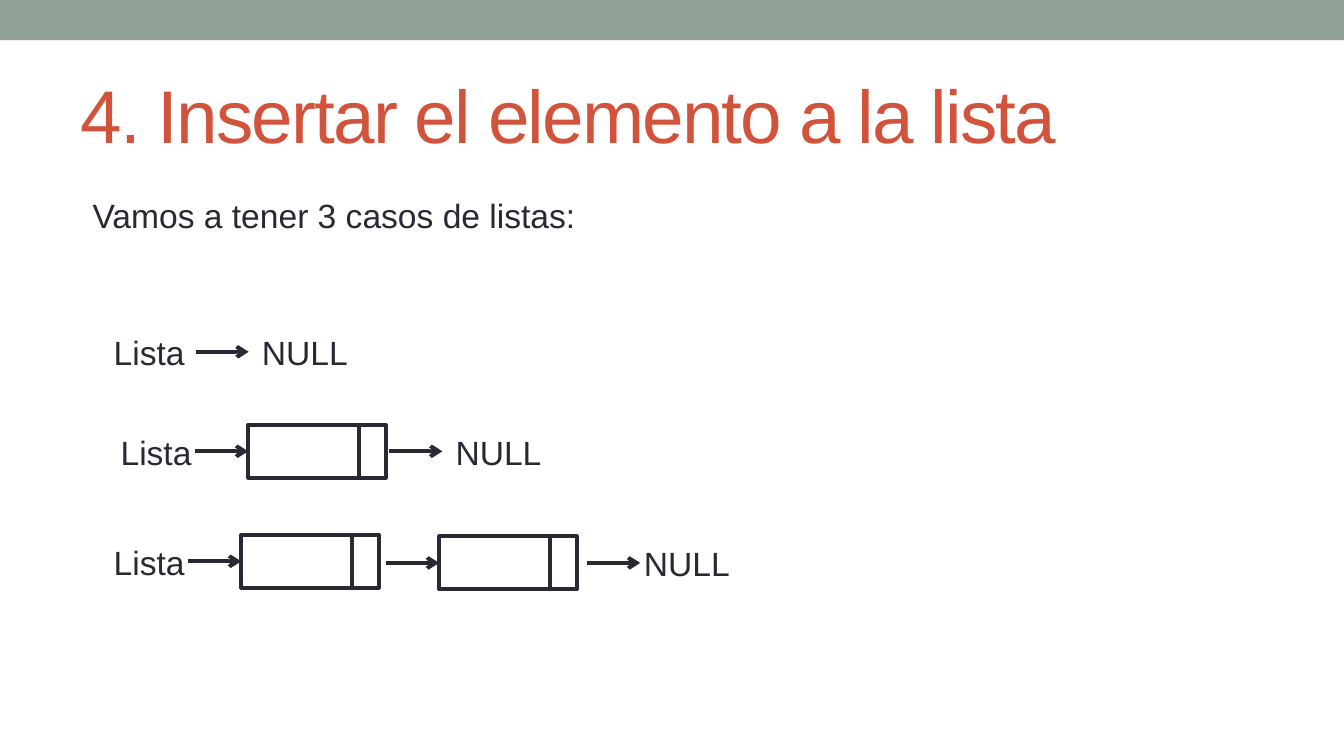
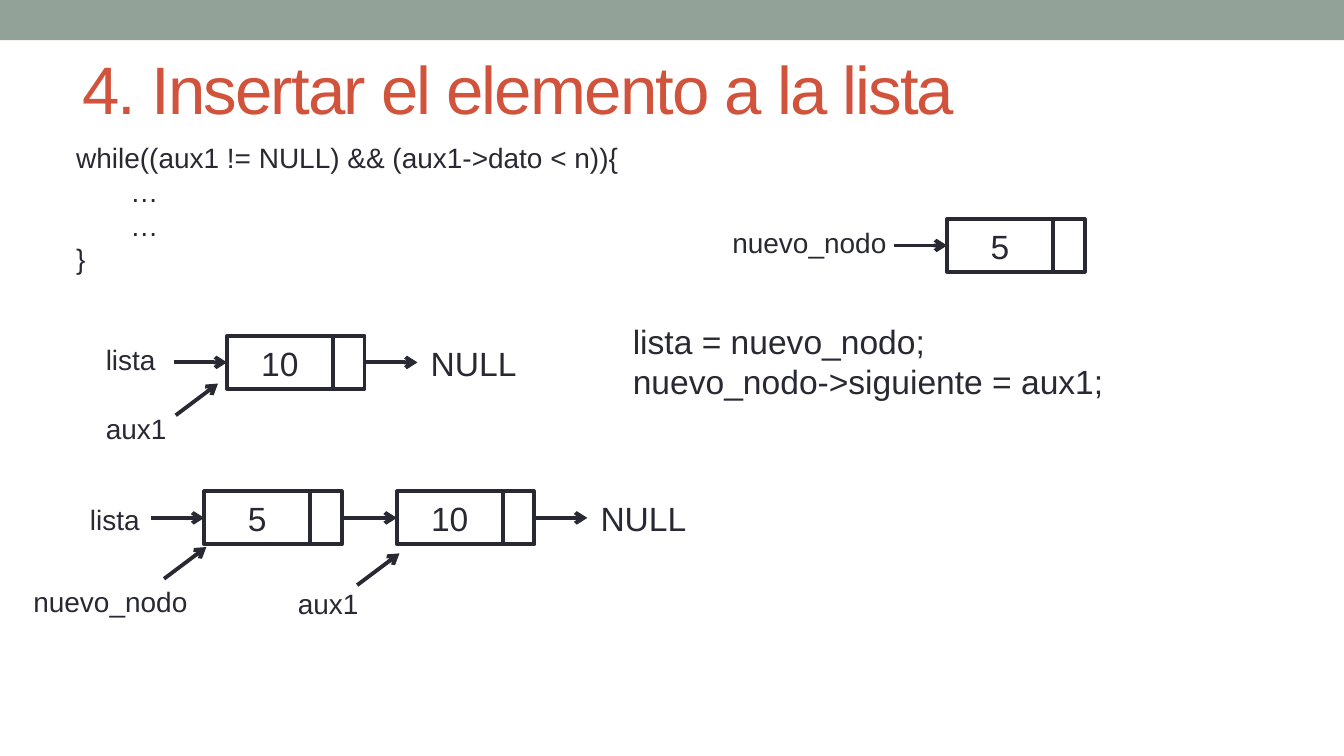
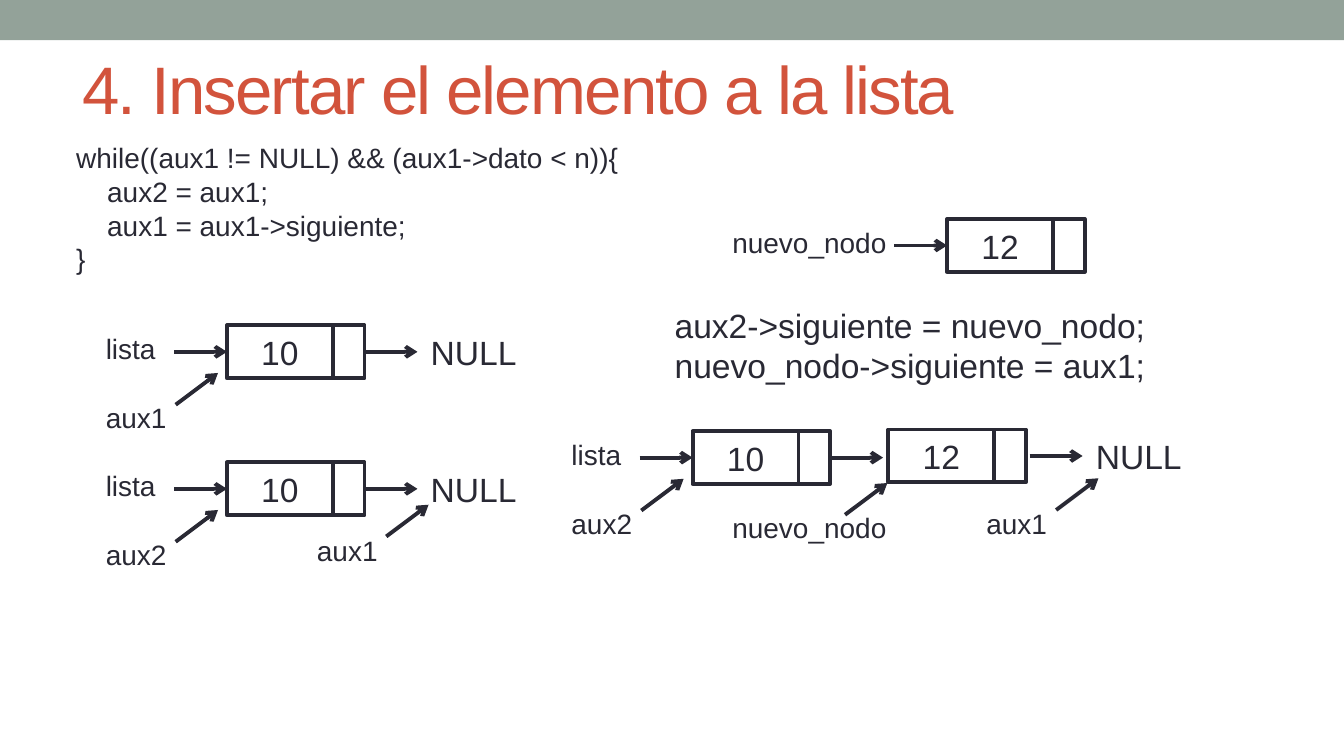
from lxml import etree
from pptx import Presentation
from pptx.dml.color import RGBColor
from pptx.enum.shapes import MSO_CONNECTOR, MSO_SHAPE
from pptx.enum.text import MSO_ANCHOR, MSO_AUTO_SIZE, PP_ALIGN
from pptx.oxml.ns import qn
from pptx.util import Cm, Pt

STRAIGHT = MSO_CONNECTOR.STRAIGHT
RECTANGLE = MSO_SHAPE.RECTANGLE
MIDDLE = MSO_ANCHOR.MIDDLE
NO_FIT = MSO_AUTO_SIZE.NONE
GROW = MSO_AUTO_SIZE.SHAPE_TO_FIT_TEXT
LEFT, CENTER = PP_ALIGN.LEFT, PP_ALIGN.CENTER
LEFT_SIDE, RIGHT_SIDE = 1, 3

COLORS = {"band": "93A299", "title": "D2533C", "ink": "292934", "paper": "FFFFFF"}
FONT = "Arial"
TITLE = "4. Insertar el elemento a la lista"
LINE_WIDTH = Pt(2.08)
SLIDE_WIDTH, SLIDE_HEIGHT = 25.4, 14.29
NODE_WIDTH, NODE_HEIGHT, VALUE_WIDTH = 2.6, 1.0, 2.0
ARROW_LENGTH = 1.0
TEXT_SIZE, SMALL_SIZE = 18, 15
WIDE_NAME = 3.8


def color(name):
    """Return the named colour."""
    return RGBColor.from_string(COLORS[name])


def format_runs(text_frame, size, color_name, alignment=LEFT):
    """Apply font and alignment to all the text of a frame."""
    values = {"name": FONT, "size": Pt(size), "bold": False}
    for paragraph in text_frame.paragraphs:
        paragraph.alignment = alignment
        for run in paragraph.runs:
            for attribute, value in values.items():
                setattr(run.font, attribute, value)
            run.font.color.rgb = color(color_name)


def add_band(presentation, slide):
    """Put the top band on the slide master, behind everything else."""
    band = slide.shapes.add_shape(RECTANGLE, 0, 0, Cm(SLIDE_WIDTH), Cm(0.76))
    band.shadow.inherit = False
    band.fill.solid()
    band.fill.fore_color.rgb = color("band")
    band.line.fill.background()
    presentation.slide_master.shapes.element.insert(2, band.element)


def add_titled_slide(presentation, left, top, height, size):
    """Add a slide with the shared title at the given place."""
    slide = presentation.slides.add_slide(presentation.slide_layouts[5])
    title = slide.shapes.title
    box = {"left": left, "top": top, "width": 22.86, "height": height}
    for attribute, value in box.items():
        setattr(title, attribute, Cm(value))
    frame = title.text_frame
    frame.text = TITLE
    frame.auto_size = NO_FIT
    frame.vertical_anchor = MIDDLE
    format_runs(frame, size, "title")
    for properties in title.element.iter(qn("a:rPr")):
        properties.set("spc", "-100")
    return slide


def add_text(slide, text, left, top, width=2.21, size=TEXT_SIZE, alignment=LEFT):
    """Add a text box that holds one paragraph per line of text."""
    height = 0.25 + len(text.split("\n")) * size * 0.0425
    box = slide.shapes.add_textbox(Cm(left), Cm(top), Cm(width), Cm(height))
    frame = box.text_frame
    frame.word_wrap = True
    frame.auto_size = GROW
    frame.text = text
    format_runs(frame, size, "ink", alignment)


def add_name(slide, text, left, top, width=1.85):
    """Add the small name of a variable."""
    add_text(slide, text, left, top, width, SMALL_SIZE)


def add_line(slide, start, end, arrow=True, source=None, target=None):
    """Add a line or arrow, joined to the sides of the given nodes."""
    line = slide.shapes.add_connector(STRAIGHT, *(Cm(value) for value in start + end))
    if source is not None:
        line.begin_connect(source, RIGHT_SIDE)
    if target is not None:
        line.end_connect(target, LEFT_SIDE)
    line.line.color.rgb = color("ink")
    line.line.width = LINE_WIDTH
    properties = line.element.spPr
    if arrow:
        etree.SubElement(properties.find(qn("a:ln")), qn("a:tailEnd"), type="arrow")
    etree.SubElement(properties, qn("a:effectLst"))


def add_node(slide, left, top, value=None, divider=VALUE_WIDTH):
    """Add a list node: a box split into value and link."""
    node = slide.shapes.add_shape(
        RECTANGLE, Cm(left), Cm(top), Cm(NODE_WIDTH), Cm(NODE_HEIGHT))
    node.shadow.inherit = False
    node.fill.solid()
    node.fill.fore_color.rgb = color("paper")
    node.line.color.rgb = color("ink")
    node.line.width = LINE_WIDTH
    split = left + divider
    add_line(slide, (split, top), (split, top + NODE_HEIGHT), arrow=False)
    if value:
        add_text(slide, value, left, top, VALUE_WIDTH, alignment=CENTER)
    return node


def add_arrow_in(slide, node):
    """Add the arrow that reaches a node from the left."""
    left, middle = node.left.cm, node.top.cm + NODE_HEIGHT / 2
    add_line(slide, (left - ARROW_LENGTH, middle), (left, middle), target=node)


def add_arrow_out(slide, node, gap=0):
    """Add the arrow that leaves a node and return where it ends."""
    start, middle = node.left.cm + NODE_WIDTH + gap, node.top.cm + NODE_HEIGHT / 2
    end = start + ARROW_LENGTH
    add_line(slide, (start, middle), (end, middle), source=None if gap else node)
    return end


def add_null_after(slide, node, gap=0, shift=0):
    """End a list with an arrow to NULL."""
    end = add_arrow_out(slide, node, gap)
    add_text(slide, "NULL", end + shift, node.top.cm)


def add_pointer(slide, left, bottom):
    """Add the slanted arrow of an auxiliary pointer."""
    add_line(slide, (left, bottom), (left + 0.8, bottom - 0.6))


def add_list_head(slide, left, top, pointer_name):
    """Add the first node of a list with its two names."""
    add_name(slide, "lista", left, top)
    node = add_node(slide, left + 2.54, top, "10")
    add_arrow_in(slide, node)
    add_pointer(slide, left + 1.57, top + 1.5)
    add_name(slide, pointer_name, left, top + 1.3)
    return node


def add_insertion_slide(presentation, loop_body, value):
    """Add a slide with the search loop and the node to insert."""
    slide = add_titled_slide(presentation, 1.3, 0.74, 1.83, 36)
    code = "while((aux1 != NULL) && (aux1->dato < n)){\n" + loop_body + "\n}"
    add_name(slide, code, 1.19, 2.54, 11.1)
    node = add_node(slide, 17.9, 4.14, value)
    add_arrow_in(slide, node)
    add_name(slide, "nuevo_nodo", 13.59, 4.14, WIDE_NAME)
    return slide


def build_cases(presentation):
    """Show the empty list and the lists of one and two nodes."""
    slide = add_titled_slide(presentation, 1.27, 1.12, 2.06, 40)
    add_band(presentation, slide)
    add_text(slide, "Vamos a tener 3 casos de listas:", 1.5, 3.56, 11.2)
    for left, top in ((1.9, 6.15), (2.03, 8.03), (1.9, 10.11)):
        add_text(slide, "Lista", left, top)
    add_line(slide, (3.7, 6.65), (4.7, 6.65))
    add_text(slide, "NULL", 4.7, 6.15)
    single, first, second = (
        add_node(slide, left, top, divider=2.1)
        for left, top in ((4.69, 8.03), (4.56, 10.11), (8.3, 10.14)))
    for node in (single, first, second):
        add_arrow_in(slide, node)
    add_null_after(slide, single, gap=0.07)
    add_null_after(slide, second, gap=0.2, shift=-0.18)


def build_insert_first(presentation):
    """Show the insertion before the first node."""
    slide = add_insertion_slide(presentation, "       …\n       …", "5")
    add_null_after(slide, add_list_head(slide, 1.75, 6.35, "aux1"))
    add_text(slide, "lista = nuevo_nodo;\nnuevo_nodo->siguiente = aux1;", 11.71, 5.94, 9.6)
    top = 9.29
    first = add_node(slide, 3.86, top, "5")
    second = add_node(slide, 7.5, top, "10")
    middle = top + NODE_HEIGHT / 2
    add_arrow_in(slide, first)
    add_line(slide, (6.46, middle), (7.5, middle), source=first, target=second)
    add_null_after(slide, second)
    add_name(slide, "lista", 1.45, 9.37)
    add_pointer(slide, 3.1, 10.94)
    add_name(slide, "nuevo_nodo", 0.38, 10.92, 3.58)
    add_pointer(slide, 6.75, 11.06)
    add_name(slide, "aux1", 5.38, 10.97)


def build_insert_last(presentation):
    """Show the insertion after the last node."""
    loop_body = "    aux2 = aux1;\n    aux1 = aux1->siguiente;"
    slide = add_insertion_slide(presentation, loop_body, "12")
    for top, pointer_name in ((6.15, "aux1"), (8.74, "aux2")):
        add_null_after(slide, add_list_head(slide, 1.75, top, pointer_name))
    add_pointer(slide, 7.3, 10.14)
    add_name(slide, "aux1", 5.74, 9.96)
    code = "aux2->siguiente = nuevo_nodo;\nnuevo_nodo->siguiente = aux1;"
    add_text(slide, code, 12.5, 5.64, 9.8)
    first = add_list_head(slide, 10.55, 8.15, "aux2")
    add_arrow_out(slide, first)
    second = add_node(slide, 16.79, 8.12, "12")
    add_null_after(slide, second, gap=0.07)
    add_pointer(slide, 15.97, 9.73)
    add_name(slide, "nuevo_nodo", 13.59, 9.53, WIDE_NAME)
    add_pointer(slide, 19.96, 9.64)
    add_name(slide, "aux1", 18.39, 9.45)


def main():
    """Build and save the presentation."""
    presentation = Presentation()
    presentation.slide_width = Cm(SLIDE_WIDTH)
    presentation.slide_height = Cm(SLIDE_HEIGHT)
    build_cases(presentation)
    build_insert_first(presentation)
    build_insert_last(presentation)
    presentation.save("out.pptx")


if __name__ == "__main__":
    main()
